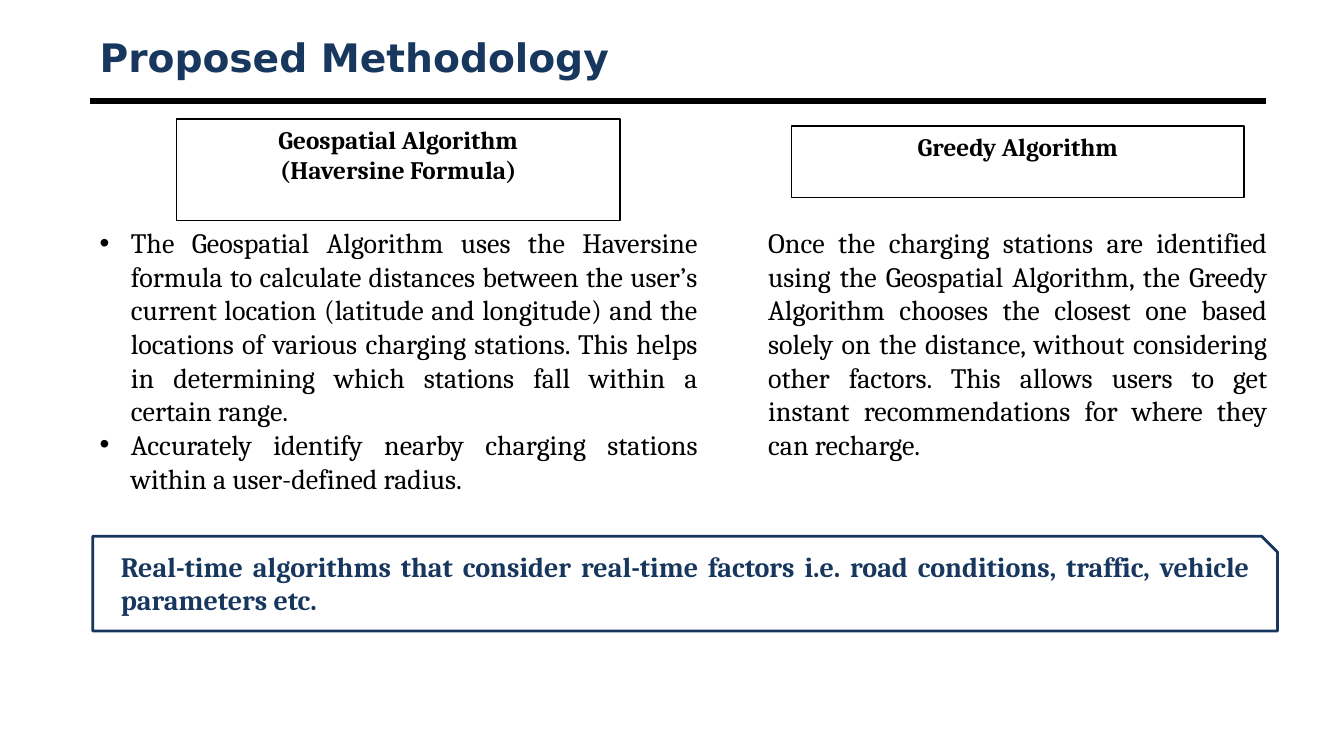
from lxml import etree
from pptx import Presentation
from pptx.dml.color import RGBColor
from pptx.enum.shapes import MSO_CONNECTOR, MSO_SHAPE as SHAPE
from pptx.enum.text import MSO_ANCHOR as ANCHOR, PP_ALIGN as ALIGN
from pptx.oxml.ns import qn
from pptx.util import Inches, Pt

# Content
TITLE = "Proposed Methodology"
COLUMNS = [
    {
        "heading": ["Geospatial Algorithm", "(Haversine Formula)"],
        "heading_box": (1.75, 1.18, 4.4, 1.01),
        "body": [
            "The Geospatial Algorithm uses the Haversine formula to calculate "
            "distances between the user’s current location (latitude and "
            "longitude) and the locations of various charging stations. This "
            "helps in determining which stations fall within a certain range.",
            "Accurately identify nearby charging stations within a "
            "user-defined radius.",
        ],
        "body_box": (0.89, 2.19, 6.13, 2.79),
        "bullets": True,
    },
    {
        "heading": ["Greedy Algorithm"],
        "heading_box": (7.85, 1.25, 4.49, 0.71),
        "body": [
            "Once the charging stations are identified using the Geospatial "
            "Algorithm, the Greedy Algorithm chooses the closest one based "
            "solely on the distance, without considering other factors. This "
            "allows users to get instant recommendations for where they can "
            "recharge.",
        ],
        "body_box": (7.52, 2.19, 5.15, 2.46),
        "bullets": False,
    },
]
SUMMARY = ("Real-time algorithms that consider real-time factors i.e. road "
           "conditions, traffic, vehicle parameters etc.")

# Style and layout, in inches
COLORS = {"navy": "17375E", "black": "000000"}
TITLE_FONT, BODY_FONT = "DejaVu Sans", "Cambria"
LEFT, CONTENT_W, RULE_Y = 0.89, 11.67, 1.0
TITLE_BOX = (LEFT, 0.3, CONTENT_W, 0.53)
SUMMARY_FRAME = (0.92, 5.32, 11.75, 0.94)
SUMMARY_BOX = (1.1, 5.4, 11.4, 0.77)
INDENT = Inches(0.31)


def color(name):
    return RGBColor.from_string(COLORS[name])


def add_bullet(p):
    pPr = p._p.get_or_add_pPr()
    pPr.set("marL", str(INDENT))
    pPr.set("indent", str(-INDENT))
    etree.SubElement(pPr, qn("a:buFont")).set("typeface", "Arial")
    etree.SubElement(pPr, qn("a:buChar")).set("char", "•")


def fill_text(sp, lines, size, font=BODY_FONT, ink="black", bold=False,
              align=ALIGN.JUSTIFY, anchor=ANCHOR.TOP, bullets=False):
    tf = sp.text_frame
    tf.word_wrap = True
    tf.vertical_anchor = anchor
    for i, line in enumerate(lines):
        p = tf.add_paragraph() if i else tf.paragraphs[0]
        p.text = line
        p.alignment = align
        if bullets:
            add_bullet(p)
        f = p.runs[0].font
        f.name, f.size, f.bold = font, Pt(size), bold
        f.color.rgb = color(ink)


def add_text(slide, box, lines, size, **style):
    sp = slide.shapes.add_textbox(*map(Inches, box))
    fill_text(sp, lines, size, **style)


def add_outline(slide, kind, box, ink, width):
    sp = slide.shapes.add_shape(kind, *map(Inches, box))
    sp.shadow.inherit = False
    sp.fill.background()
    sp.line.color.rgb = color(ink)
    sp.line.width = Pt(width)
    return sp


def main():
    prs = Presentation()
    prs.slide_width, prs.slide_height = Inches(13.33), Inches(7.5)
    slide = prs.slides.add_slide(prs.slide_layouts[6])

    # Title and rule
    rule = slide.shapes.add_connector(
        MSO_CONNECTOR.STRAIGHT, Inches(LEFT), Inches(RULE_Y),
        Inches(LEFT + CONTENT_W), Inches(RULE_Y))
    rule.line.color.rgb = color("black")
    rule.line.width = Pt(4.5)
    etree.SubElement(rule._element.spPr, qn("a:effectLst"))
    add_text(slide, TITLE_BOX, [TITLE], 28, font=TITLE_FONT, ink="navy",
             bold=True, align=ALIGN.LEFT, anchor=ANCHOR.MIDDLE)

    # Algorithm columns
    for col in COLUMNS:
        sp = add_outline(slide, SHAPE.RECTANGLE, col["heading_box"], "black", 1)
        fill_text(sp, col["heading"], 18, bold=True, align=ALIGN.CENTER)
        add_text(slide, col["body_box"], col["body"], 20,
                 bullets=col["bullets"])

    # Summary
    add_text(slide, SUMMARY_BOX, [SUMMARY], 20, ink="navy", bold=True)
    add_outline(slide, SHAPE.SNIP_1_RECTANGLE, SUMMARY_FRAME, "navy", 2)

    prs.save("out.pptx")


if __name__ == "__main__":
    main()
